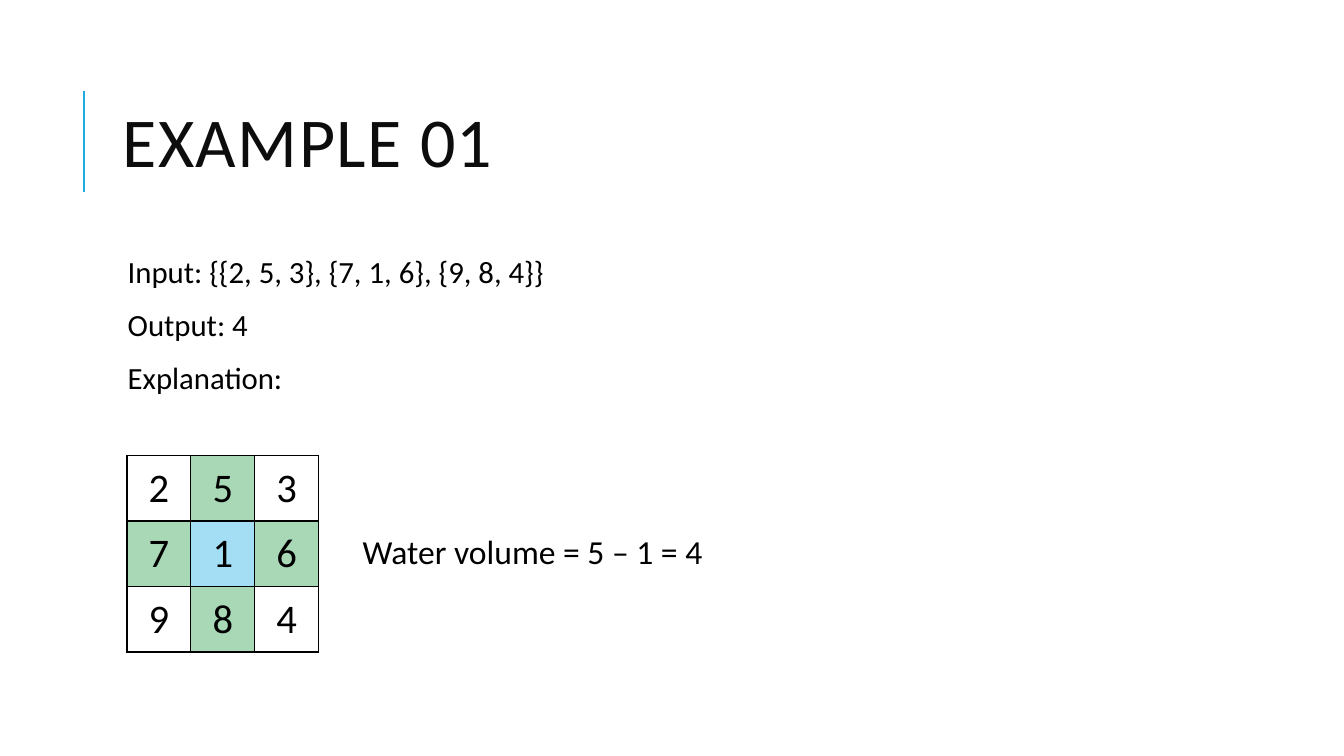
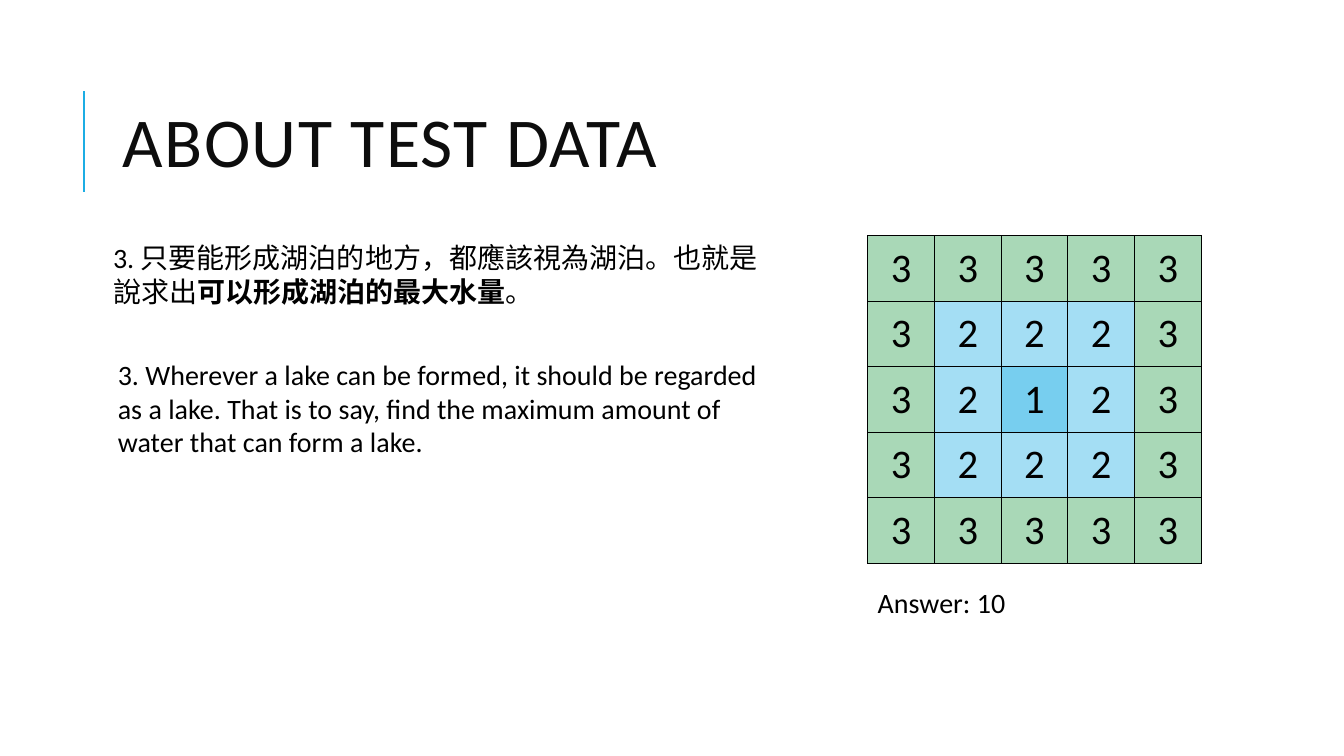
"""Build two slides about lake volumes on height grids."""
from dataclasses import dataclass, field
from typing import Any

from lxml.etree import SubElement
from pptx import Presentation
from pptx.dml.color import RGBColor
from pptx.enum.shapes import MSO_CONNECTOR
from pptx.enum.text import MSO_ANCHOR, MSO_AUTO_SIZE, PP_ALIGN
from pptx.oxml.ns import qn
from pptx.util import Cm, Pt

FONT = "Calibri"
COLORS = {
    "accent": "1CADE4",
    "title": "0D0D0D",
    "text": "000000",
    "land": "A9D8B7",
    "water": "A4DEF4",
    "deep": "77CEEF",
}
ROW_HEIGHT = 1.64
TITLE_FRAME = {
    "word_wrap": True,
    "auto_size": MSO_AUTO_SIZE.NONE,
    "vertical_anchor": MSO_ANCHOR.MIDDLE,
}
TITLE_PARAGRAPH = {"alignment": PP_ALIGN.LEFT, "line_spacing": 0.8}
BODY_FRAME = {
    "margin_left": Cm(0.13),
    "margin_right": Cm(0.13),
    "margin_top": Cm(0.13),
    "margin_bottom": Cm(0.13),
}
INDENTED_FRAME = BODY_FRAME | {"margin_left": Cm(0.38)}
BODY_PARAGRAPH = {"space_before": Pt(12), "space_after": Pt(2)}
TIGHT_PARAGRAPH = BODY_PARAGRAPH | {"line_spacing": 0.9}
CELL_FORMAT = {
    "margin_left": Cm(0.38),
    "margin_right": Cm(0.38),
    "margin_top": Cm(0.2),
    "margin_bottom": Cm(0.2),
    "vertical_anchor": MSO_ANCHOR.MIDDLE,
}


@dataclass(frozen=True)
class Run:
    text: str
    bold: bool = False


@dataclass(frozen=True)
class Passage:
    left: float
    top: float
    width: float
    height: float
    size: int
    paragraphs: list[list[Run]]
    frame: dict[str, Any] = field(default_factory=dict)
    paragraph: dict[str, Any] = field(default_factory=dict)


@dataclass(frozen=True)
class HeightGrid:
    left: float
    top: float
    column_width: float
    rows: list[str]
    shading: dict[str, str]


@dataclass(frozen=True)
class Page:
    title: str
    grid: HeightGrid
    passages: list[Passage]


PAGES = [
    Page(
        "EXAMPLE 01",
        HeightGrid(3.2, 11.48, 1.61, ["253", "716", "984"],
                   dict.fromkeys("5678", "land") | {"1": "water"}),
        [
            Passage(2.84, 6.35, 27, 10.59, 22,
                    [[Run("Input: {{2, 5, 3}, {7, 1, 6}, {9, 8, 4}}")],
                     [Run("Output: 4")],
                     [Run("Explanation:")]],
                    INDENTED_FRAME, TIGHT_PARAGRAPH),
            Passage(8.89, 13.26, 9.7, 1.27, 24,
                    [[Run("Water volume = 5 – 1 = 4")]]),
        ],
    ),
    Page(
        "ABOUT TEST DATA",
        HeightGrid(21.87, 5.94, 1.68,
                   ["33333", "32223", "32123", "32223", "33333"],
                   {"3": "land", "2": "water", "1": "deep"}),
        [
            Passage(2.72, 5.94, 16.94, 4.39, 20,
                    [[Run("3. 只要能形成湖泊的地方，都應該視為湖泊。也就是說求出"),
                      Run("可以形成湖泊的最大水量", True),
                      Run("。")]],
                    BODY_FRAME, BODY_PARAGRAPH),
            Passage(2.72, 8.89, 16.94, 2.82, 20,
                    [[Run("3. Wherever a lake can be formed, it should be regarded "
                          "as a lake. That is to say, find the maximum amount of "
                          "water that can form a lake.")]]),
            Passage(21.87, 14.63, 4.42, 1.12, 20, [[Run("Answer: 10")]]),
        ],
    ),
]


def apply(target: Any, values: dict[str, Any]) -> None:
    for name, value in values.items():
        setattr(target, name, value)


def color(name: str) -> RGBColor:
    return RGBColor.from_string(COLORS[name])


def add_run(paragraph: Any, text: str, size: int, ink: str = "text",
            bold: bool = False) -> Any:
    run = paragraph.add_run()
    run.text = text
    apply(run.font, {"name": FONT, "size": Pt(size), "bold": bold})
    run.font.color.rgb = color(ink)
    return run


def draw_title(slide: Any, text: str) -> None:
    rule = slide.shapes.add_connector(
        MSO_CONNECTOR.STRAIGHT, Cm(2.12), Cm(4.83), Cm(2.12), Cm(2.29))
    rule.line.color.rgb = color("accent")
    rule.line.width = Pt(1.5)
    SubElement(rule._element.spPr, qn("a:effectLst"))

    title = slide.shapes.title
    apply(title, {"left": Cm(2.84), "top": Cm(1.63),
                  "width": Cm(27), "height": Cm(4.17)})
    apply(title.text_frame, TITLE_FRAME)
    paragraph = title.text_frame.paragraphs[0]
    apply(paragraph, TITLE_PARAGRAPH)
    run = add_run(paragraph, text, 50, "title")
    run._r.get_or_add_rPr().set("spc", "100")


def draw_passage(slide: Any, passage: Passage) -> None:
    box = slide.shapes.add_textbox(Cm(passage.left), Cm(passage.top),
                                   Cm(passage.width), Cm(passage.height))
    frame = box.text_frame
    apply(frame, {"word_wrap": True} | passage.frame)
    for index, runs in enumerate(passage.paragraphs):
        paragraph = frame.add_paragraph() if index else frame.paragraphs[0]
        apply(paragraph, passage.paragraph)
        for run in runs:
            add_run(paragraph, run.text, passage.size, bold=run.bold)


def add_borders(cell: Any) -> None:
    properties = cell._tc.get_or_add_tcPr()
    for side in ("lnL", "lnR", "lnT", "lnB"):
        border = SubElement(properties, qn(f"a:{side}"), w=str(Pt(1)))
        fill = SubElement(border, qn("a:solidFill"))
        SubElement(fill, qn("a:srgbClr"), val=COLORS["text"])


def draw_grid(slide: Any, grid: HeightGrid) -> None:
    row_count, column_count = len(grid.rows), len(grid.rows[0])
    table = slide.shapes.add_table(
        row_count, column_count, Cm(grid.left), Cm(grid.top),
        Cm(grid.column_width * column_count), Cm(ROW_HEIGHT * row_count)).table
    apply(table, {"first_row": False, "horz_banding": False})
    for column in table.columns:
        column.width = Cm(grid.column_width)
    for row in table.rows:
        row.height = Cm(ROW_HEIGHT)
    for cell, ground in zip(table.iter_cells(), "".join(grid.rows)):
        apply(cell, CELL_FORMAT)
        add_borders(cell)
        if ground in grid.shading:
            cell.fill.solid()
            cell.fill.fore_color.rgb = color(grid.shading[ground])
        else:
            cell.fill.background()
        paragraph = cell.text_frame.paragraphs[0]
        paragraph.alignment = PP_ALIGN.CENTER
        add_run(paragraph, ground, 29)


def main() -> None:
    deck = Presentation()
    apply(deck, {"slide_width": Cm(33.87), "slide_height": Cm(19.05)})
    title_only = deck.slide_layouts[5]
    for page in PAGES:
        slide = deck.slides.add_slide(title_only)
        draw_title(slide, page.title)
        draw_grid(slide, page.grid)
        for passage in page.passages:
            draw_passage(slide, passage)
    deck.save("out.pptx")


if __name__ == "__main__":
    main()
